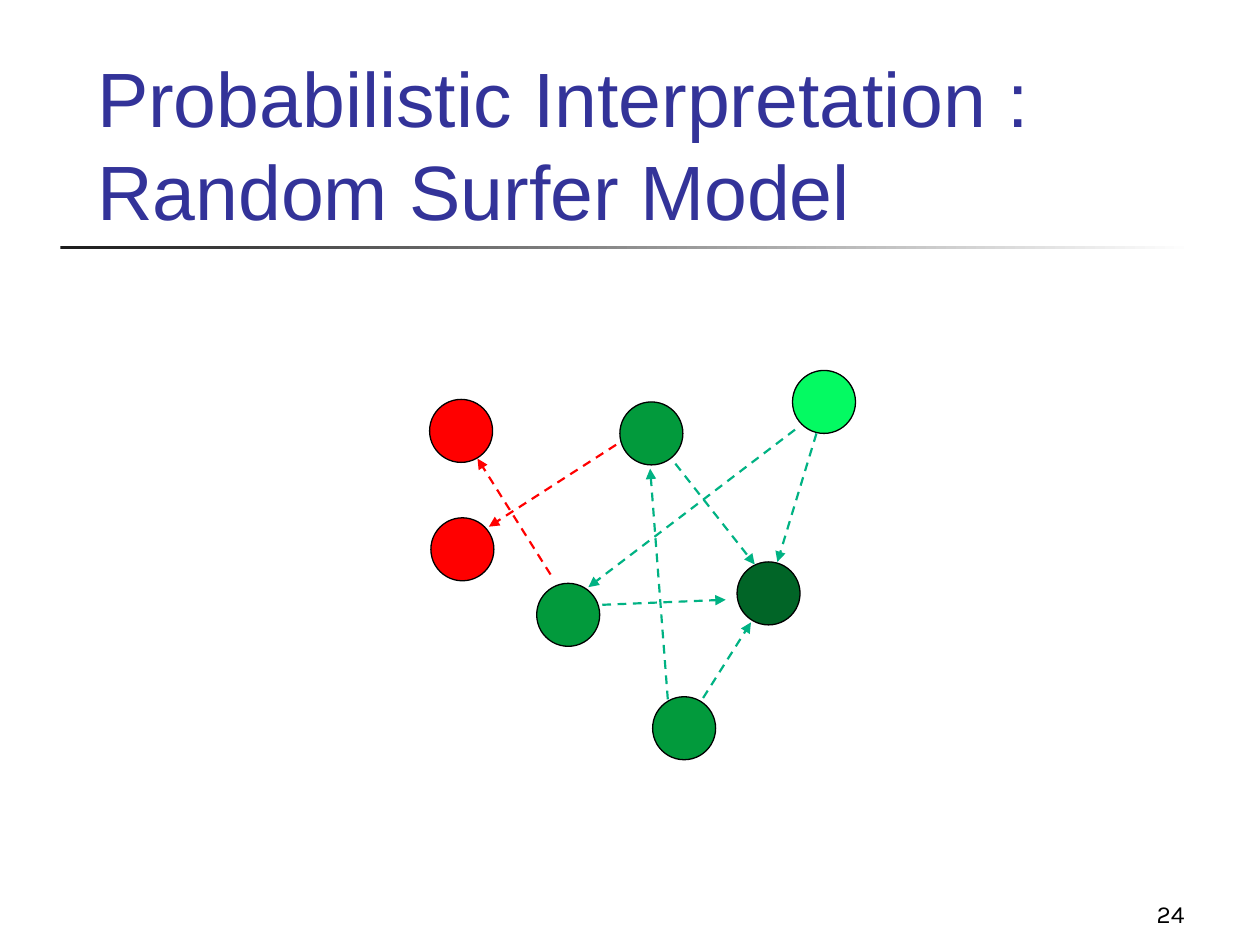
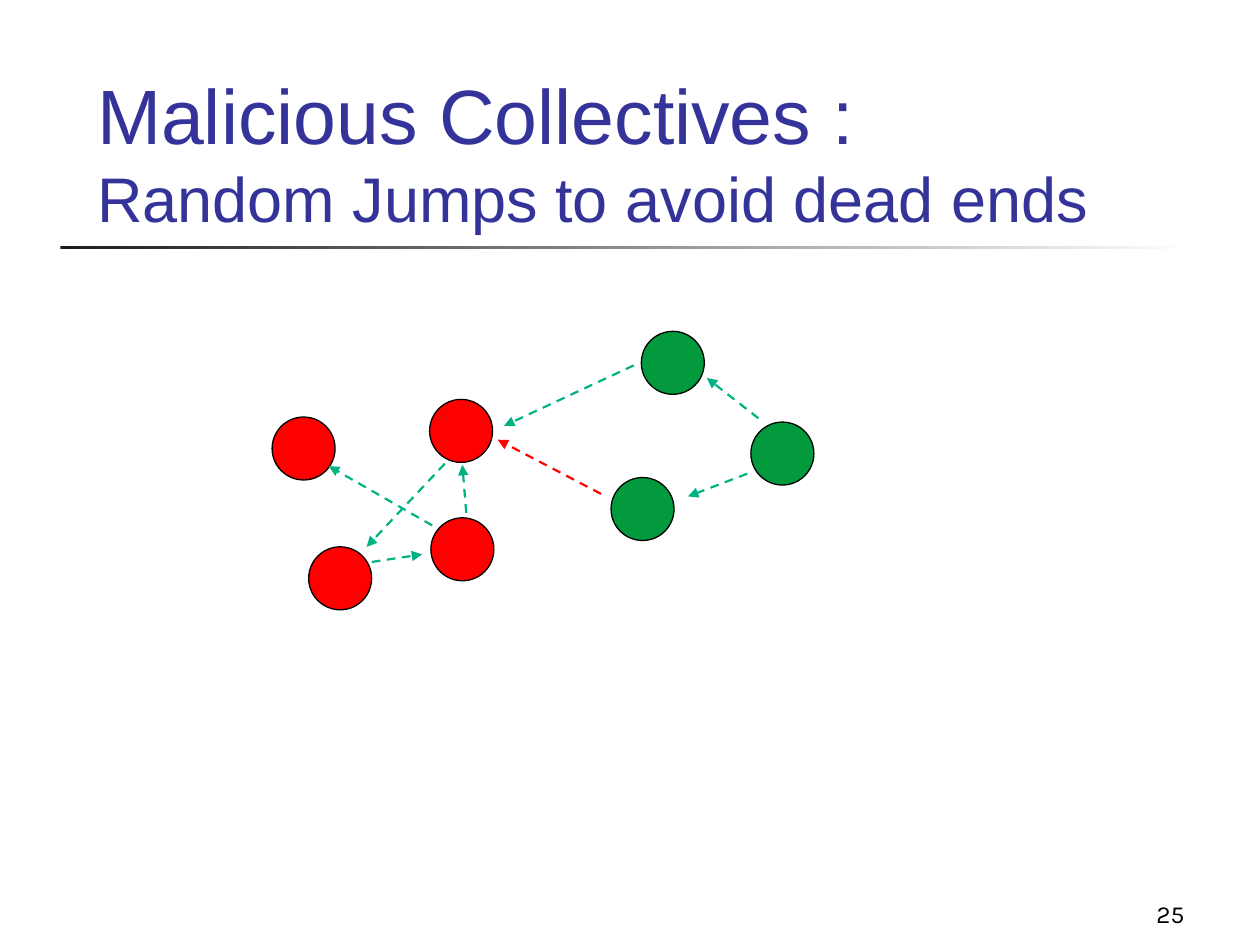
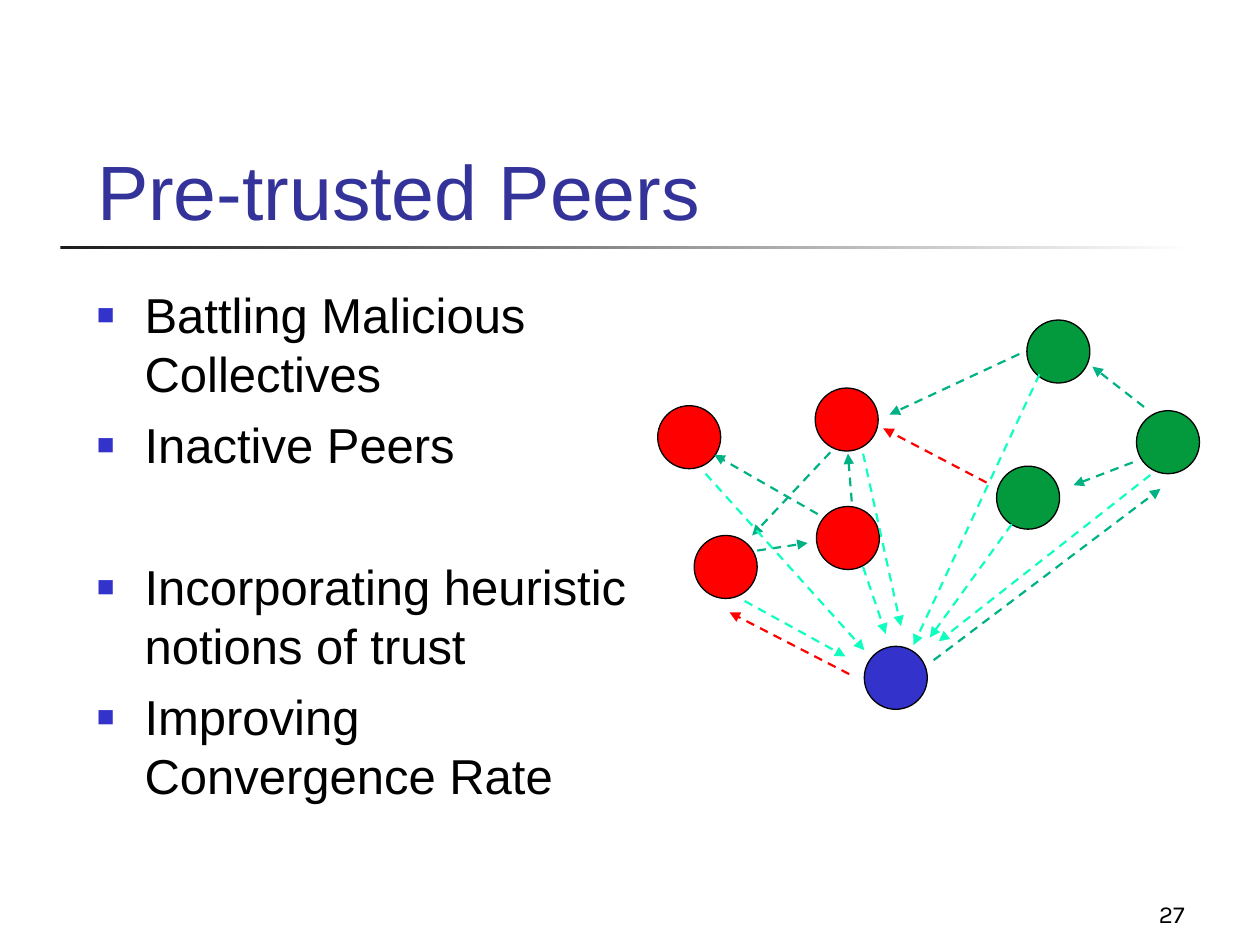
from dataclasses import dataclass
from typing import Any, NamedTuple

from lxml import etree
from pptx import Presentation
from pptx import util as u
from pptx.dml import color as c
from pptx.enum import dml, shapes, text
from pptx.oxml import ns

COLORS = {
    "title": "333399",
    "text": "000000",
    "bullet": "3333CC",
    "rule_start": "1C1C1C",
    "rule_end": "FFFFFF",
    "outline": "000000",
    "malicious": "FF0000",
    "good": "029A3C",
    "best": "016527",
    "new": "04FA62",
    "trusted": "3333CC",
    "trust": "00B283",
    "distrust": "FF0000",
    "jump": "0FFFC0",
}
BODY_FONT = "Arial"
NUMBER_FONT = "Karla"
PEER_SIZE = 0.5
FRAME_FORMAT = {"word_wrap": True, "auto_size": text.MSO_AUTO_SIZE.NONE}
BOTTOM_FORMAT = FRAME_FORMAT | {"vertical_anchor": text.MSO_ANCHOR.BOTTOM}
LINK_FORMAT = {"width": u.Pt(1.25), "dash_style": dml.MSO_LINE.DASH}


class Peer(NamedTuple):
    left: float
    top: float
    kind: str


class Link(NamedTuple):
    x1: float
    y1: float
    x2: float
    y2: float
    kind: str = "trust"


class TitleLine(NamedTuple):
    words: str
    size: int = 44


class Bullet(NamedTuple):
    words: str
    space_before: float = 7


@dataclass(frozen=True)
class Network:
    peers: list[Peer]
    links: list[Link]

    def moved(self, dx: float, dy: float) -> "Network":
        return Network(
            [Peer(p.left + dx, p.top + dy, p.kind) for p in self.peers],
            [Link(k.x1 + dx, k.y1 + dy, k.x2 + dx, k.y2 + dy, k.kind) for k in self.links],
        )


@dataclass(frozen=True)
class SlideContent:
    number: int
    title: list[TitleLine]
    networks: list[Network]
    bullets: tuple[Bullet, ...] = ()


SURFER_MODEL = Network(
    [
        Peer(5.85, 4.46, "best"),
        Peer(3.41, 3.17, "malicious"),
        Peer(4.92, 3.19, "good"),
        Peer(6.29, 2.94, "new"),
        Peer(4.26, 4.63, "good"),
        Peer(5.18, 5.53, "good"),
        Peer(3.42, 4.11, "malicious"),
    ],
    [
        Link(6.31, 3.41, 4.67, 4.66),
        Link(5.36, 3.68, 5.99, 4.48),
        Link(6.48, 3.44, 6.17, 4.46),
        Link(5.58, 5.54, 5.96, 4.94),
        Link(5.3, 5.55, 5.16, 3.72),
        Link(4.78, 4.8, 5.76, 4.76),
        Link(4.37, 4.56, 3.79, 3.64, "distrust"),
        Link(4.89, 3.53, 3.88, 4.18, "distrust"),
    ],
)
COLLECTIVE = Network(
    [
        Peer(3.41, 3.17, "malicious"),
        Peer(2.45, 4.34, "malicious"),
        Peer(2.16, 3.31, "malicious"),
        Peer(3.42, 4.11, "malicious"),
        Peer(5.09, 2.63, "good"),
        Peer(4.85, 3.79, "good"),
        Peer(5.96, 3.35, "good"),
    ],
    [
        Link(3.53, 3.68, 2.91, 4.34),
        Link(3.7, 4.07, 3.67, 3.69),
        Link(3.43, 4.17, 2.61, 3.7),
        Link(2.95, 4.46, 3.35, 4.4),
        Link(4.77, 3.92, 3.95, 3.49, "distrust"),
        Link(5.03, 2.9, 4, 3.38),
        Link(6.02, 3.32, 5.61, 3),
        Link(5.93, 3.76, 5.46, 3.94),
    ],
)
PRE_TRUSTED = Network(
    [Peer(6.86, 5.13, "trusted")],
    [
        Link(5.6, 3.76, 6.86, 5.16, "jump"),
        Link(8.25, 2.97, 7.25, 5.12, "jump"),
        Link(9.13, 3.77, 7.45, 5.09, "jump"),
        Link(8.03, 4.16, 7.38, 5.06, "jump"),
        Link(6.85, 4.5, 7.03, 5.03, "jump"),
        Link(6.85, 3.6, 7.15, 4.97, "jump"),
        Link(5.91, 4.77, 6.71, 5.21, "jump"),
        Link(7.41, 5.24, 9.21, 3.88),
        Link(6.74, 5.35, 5.79, 4.86, "distrust"),
    ],
)
SLIDES = [
    SlideContent(
        24,
        [TitleLine("Probabilistic Interpretation : Random Surfer Model")],
        [SURFER_MODEL],
    ),
    SlideContent(
        25,
        [TitleLine("Malicious Collectives :"), TitleLine("Random Jumps to avoid dead ends", 36)],
        [COLLECTIVE],
    ),
    SlideContent(
        27,
        [TitleLine("Pre-trusted Peers")],
        [COLLECTIVE.moved(3.06, -0.09), PRE_TRUSTED],
        (
            Bullet("Battling Malicious Collectives", 0),
            Bullet("Inactive Peers"),
            Bullet("Incorporating heuristic notions of trust", 47.5),
            Bullet("Improving Convergence Rate"),
        ),
    ),
]


def rgb(name: str) -> c.RGBColor:
    return c.RGBColor.from_string(COLORS[name])


def apply_format(target: Any, values: dict[str, Any]) -> None:
    for name, value in values.items():
        setattr(target, name, value)


def box(left: float, top: float, width: float, height: float) -> tuple[u.Length, ...]:
    return tuple(u.Inches(value) for value in (left, top, width, height))


def add_run(paragraph: Any, words: str, size: float, color: str, font: str = BODY_FONT) -> None:
    run = paragraph.add_run()
    run.text = words
    apply_format(run.font, {"size": u.Pt(size), "name": font})
    run.font.color.rgb = rgb(color)


def add_rule(slide: Any) -> None:
    rule = slide.shapes.add_shape(shapes.MSO_SHAPE.RECTANGLE, *box(0.48, 1.95, 9, 0.03))
    rule.shadow.inherit = False
    rule.line.fill.background()
    rule.fill.gradient()
    rule.fill.gradient_angle = 0
    stops = zip(rule.fill.gradient_stops, (0, 1), ("rule_start", "rule_end"))
    for stop, position, color in stops:
        stop.position = position
        stop.color.rgb = rgb(color)


def add_number(slide: Any, number: int) -> None:
    frame = slide.shapes.add_textbox(*box(7.42, 6.92, 2.08, 0.5)).text_frame
    apply_format(frame, BOTTOM_FORMAT)
    paragraph = frame.paragraphs[0]
    paragraph.alignment = text.PP_ALIGN.RIGHT
    add_run(paragraph, str(number), 14, "text", NUMBER_FONT)


def set_title(slide: Any, lines: list[TitleLine]) -> None:
    title = slide.shapes.title
    bounds = zip(("left", "top", "width", "height"), box(0.67, 0.67, 8.83, 1.25))
    apply_format(title, dict(bounds))
    apply_format(title.text_frame, BOTTOM_FORMAT)
    paragraph = title.text_frame.paragraphs[0]
    paragraph.alignment = text.PP_ALIGN.LEFT
    for index, line in enumerate(lines):
        if index:
            paragraph.add_line_break()
        add_run(paragraph, line.words, line.size, "title")


def set_bullet(paragraph: Any) -> None:
    properties = paragraph._p.get_or_add_pPr()
    properties.set("marL", str(u.Inches(0.38)))
    properties.set("indent", str(-u.Inches(0.38)))
    color = etree.SubElement(properties, ns.qn("a:buClr"))
    etree.SubElement(color, ns.qn("a:srgbClr"), val=COLORS["bullet"])
    etree.SubElement(properties, ns.qn("a:buSzPct"), val="60000")
    etree.SubElement(properties, ns.qn("a:buFont"), typeface=BODY_FONT)
    etree.SubElement(properties, ns.qn("a:buChar"), char="■")


def add_bullets(slide: Any, bullets: tuple[Bullet, ...]) -> None:
    frame = slide.shapes.add_textbox(*box(0.67, 2.21, 4.53, 4.5)).text_frame
    apply_format(frame, FRAME_FORMAT)
    for index, bullet in enumerate(bullets):
        paragraph = frame.add_paragraph() if index else frame.paragraphs[0]
        set_bullet(paragraph)
        paragraph.space_before = u.Pt(bullet.space_before)
        add_run(paragraph, bullet.words, 28, "text")


def add_peer(slide: Any, peer: Peer) -> None:
    bounds = box(peer.left, peer.top, PEER_SIZE, PEER_SIZE)
    circle = slide.shapes.add_shape(shapes.MSO_SHAPE.OVAL, *bounds)
    circle.shadow.inherit = False
    circle.fill.solid()
    circle.fill.fore_color.rgb = rgb(peer.kind)
    circle.line.color.rgb = rgb("outline")
    circle.line.width = u.Pt(0.75)


def add_link(slide: Any, link: Link) -> None:
    ends = box(link.x1, link.y1, link.x2, link.y2)
    connector = slide.shapes.add_connector(shapes.MSO_CONNECTOR.STRAIGHT, *ends)
    connector.line.color.rgb = rgb(link.kind)
    apply_format(connector.line, LINK_FORMAT)
    properties = connector._element.spPr
    etree.SubElement(properties.find(ns.qn("a:ln")), ns.qn("a:tailEnd"), type="triangle")
    etree.SubElement(properties, ns.qn("a:effectLst"))


def add_network(slide: Any, network: Network) -> None:
    for peer in network.peers:
        add_peer(slide, peer)
    for link in network.links:
        add_link(slide, link)


def main() -> None:
    presentation = Presentation()
    presentation.slide_width = u.Inches(10)
    presentation.slide_height = u.Inches(7.5)
    title_only = presentation.slide_layouts[5]
    for content in SLIDES:
        slide = presentation.slides.add_slide(title_only)
        add_rule(slide)
        add_number(slide, content.number)
        set_title(slide, content.title)
        if content.bullets:
            add_bullets(slide, content.bullets)
        for network in content.networks:
            add_network(slide, network)
    presentation.save("out.pptx")


if __name__ == "__main__":
    main()
